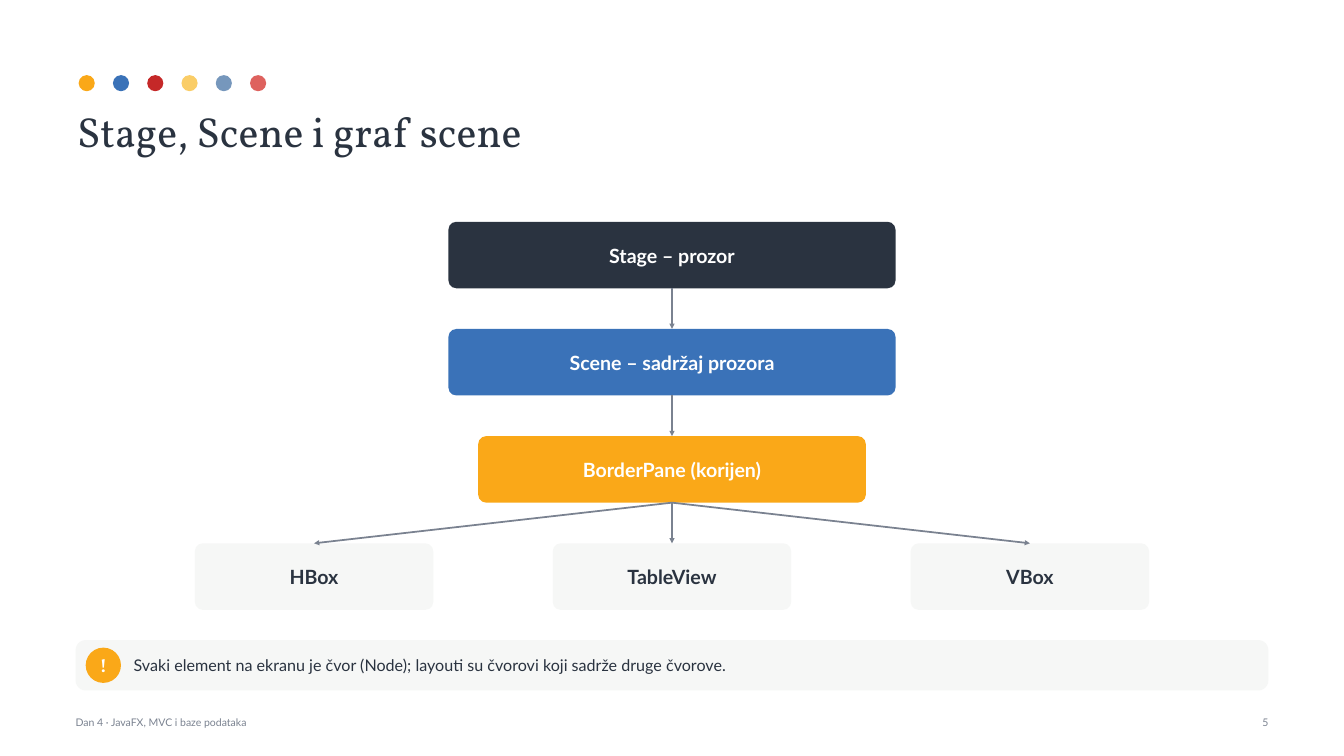
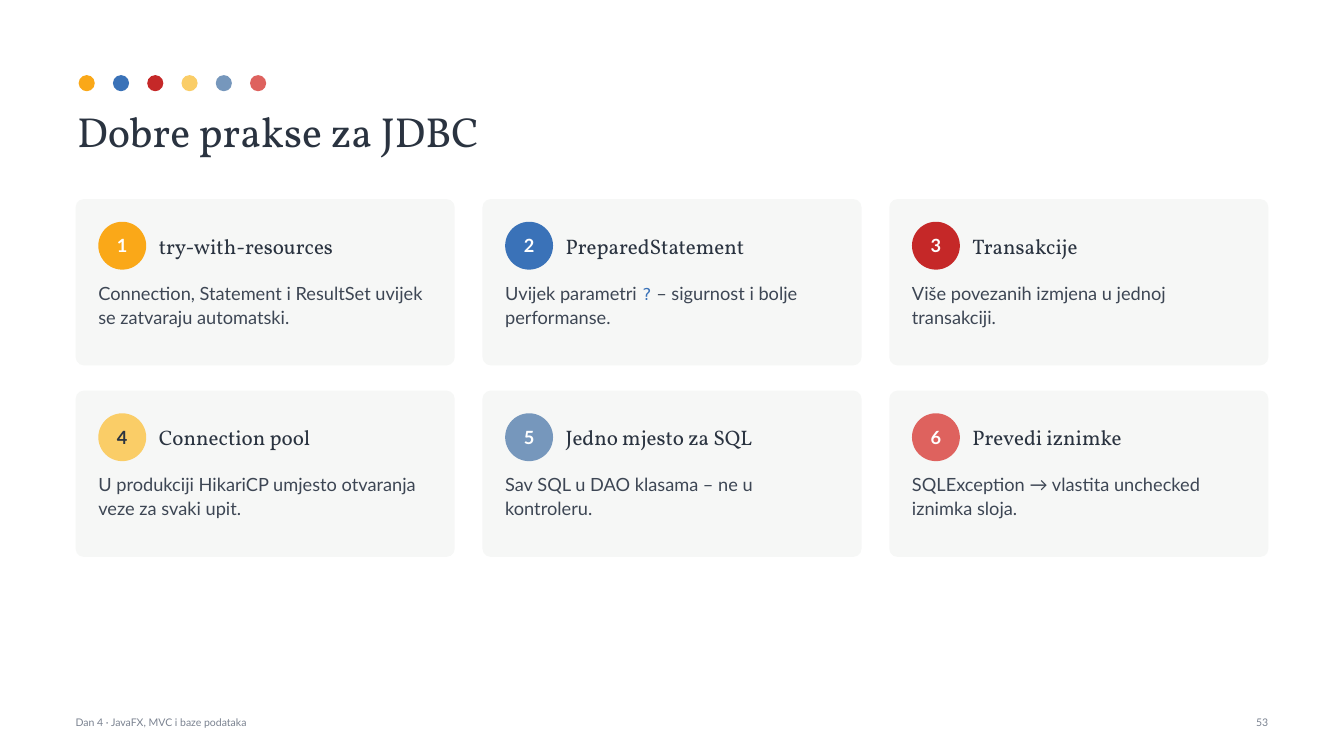
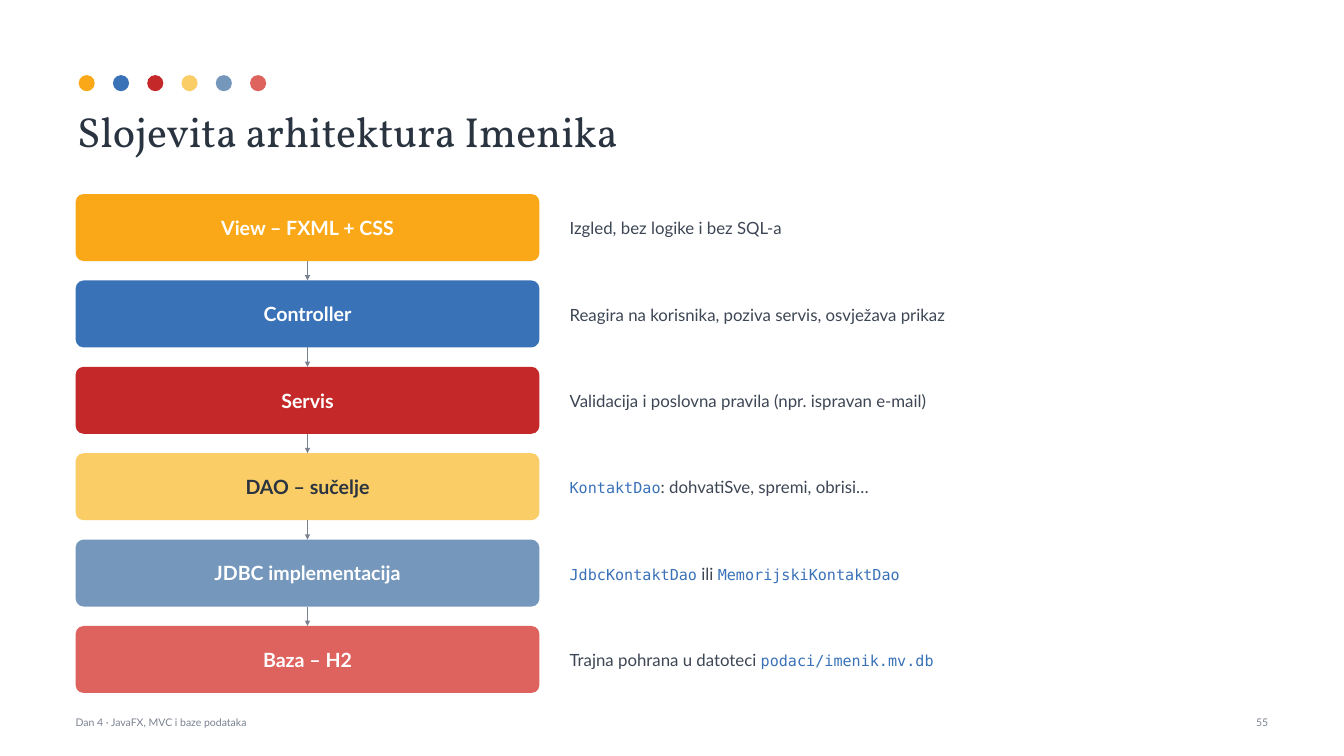
from lxml import etree
from pptx import Presentation
from pptx.dml.color import RGBColor
from pptx.enum.shapes import MSO_CONNECTOR, MSO_SHAPE
from pptx.enum.text import MSO_ANCHOR, MSO_AUTO_SIZE, PP_ALIGN
from pptx.oxml.ns import qn
from pptx.util import Inches, Pt

ROUNDED, OVAL = MSO_SHAPE.ROUNDED_RECTANGLE, MSO_SHAPE.OVAL
STRAIGHT = MSO_CONNECTOR.STRAIGHT
LEFT, CENTER, RIGHT = PP_ALIGN.LEFT, PP_ALIGN.CENTER, PP_ALIGN.RIGHT
TOP, MIDDLE = MSO_ANCHOR.TOP, MSO_ANCHOR.MIDDLE
NO_AUTOFIT = MSO_AUTO_SIZE.NONE
TITLE_ONLY = 5
BOTTOM_SIDE, TOP_SIDE = 2, 0

COLORS = {
    "orange": "FAA818", "blue": "3A72B8", "red": "C52828",
    "yellow": "FACD67", "steel": "7697BC", "coral": "DE625E",
    "ink": "2A3340", "body": "3D4654", "gray": "7A8290",
    "panel": "F6F7F6", "white": "FFFFFF",
}
ACCENTS = ["orange", "blue", "red", "yellow", "steel", "coral"]
LIGHT_FILLS = ("yellow", "panel")
SERIF, SANS, MONO = "Vollkorn", "Lato", "DejaVu Sans Mono"
FOOTER = "Dan 4 · JavaFX, MVC i baze podataka"
MARGIN, CONTENT_WIDTH = 1.5, 23.66
CENTER_X = 13.33

CARDS = [
    ("try-with-resources", "Connection, Statement i ResultSet uvijek se zatvaraju automatski."),
    ("PreparedStatement", "Uvijek parametri `?` – sigurnost i bolje performanse."),
    ("Transakcije", "Više povezanih izmjena u jednoj transakciji."),
    ("Connection pool", "U produkciji HikariCP umjesto otvaranja veze za svaki upit."),
    ("Jedno mjesto za SQL", "Sav SQL u DAO klasama – ne u kontroleru."),
    ("Prevedi iznimke", "SQLException → vlastita unchecked iznimka sloja."),
]
LAYERS = [
    ("View – FXML + CSS", "Izgled, bez logike i bez SQL-a"),
    ("Controller", "Reagira na korisnika, poziva servis, osvježava prikaz"),
    ("Servis", "Validacija i poslovna pravila (npr. ispravan e-mail)"),
    ("DAO – sučelje", "`KontaktDao`: dohvatiSve, spremi, obrisi…"),
    ("JDBC implementacija", "`JdbcKontaktDao` ili `MemorijskiKontaktDao`"),
    ("Baza – H2", "Trajna pohrana u datoteci `podaci/imenik.mv.db`"),
]


def rgb(name):
    """Return the named palette colour."""
    return RGBColor.from_string(COLORS[name])


def contrast(fill):
    """Return the label colour that reads well on a fill."""
    return "ink" if fill in LIGHT_FILLS else "white"


def style_font(font, size, color, face=SANS, bold=False):
    """Set size, colour, face and weight of a font."""
    font.size, font.name, font.bold = Pt(size), face, bold
    font.color.rgb = rgb(color)


def set_frame(frame, anchor, inset=0, wrap=True):
    """Set anchor, equal insets and wrapping of a text frame."""
    frame.auto_size, frame.word_wrap = NO_AUTOFIT, wrap
    frame.vertical_anchor = anchor
    frame.margin_left = frame.margin_right = Inches(inset)
    frame.margin_top = frame.margin_bottom = Inches(inset)


def add_text(page, at, text, size, color, face=SANS, align=LEFT, anchor=TOP, spacing=1.0):
    """Add a text box where backticks mark code spans."""
    box = page.shapes.add_textbox(*map(Inches, at))
    set_frame(box.text_frame, anchor)
    para = box.text_frame.paragraphs[0]
    para.alignment, para.line_spacing = align, spacing
    for index, part in enumerate(text.split("`")):
        if part:
            span = para.add_run()
            span.text = part
            if index % 2:
                style_font(span.font, size * 0.9, "blue", MONO)
            else:
                style_font(span.font, size, color, face)


def add_panel(shapes, kind, at, fill, radius=None):
    """Add a flat shape without an outline."""
    panel = shapes.add_shape(kind, *map(Inches, at))
    panel.shadow.inherit = False
    panel.fill.solid()
    panel.fill.fore_color.rgb = rgb(fill)
    panel.line.fill.background()
    if radius is not None:
        panel.adjustments[0] = radius
    return panel


def add_label(panel, text, size, color, face=SANS, wrap=True, spacing=1.0):
    """Write a bold centred label inside a shape."""
    set_frame(panel.text_frame, MIDDLE, wrap=wrap)
    panel.text_frame.text = text
    para = panel.text_frame.paragraphs[0]
    para.alignment, para.line_spacing = CENTER, spacing
    style_font(para.runs[0].font, size, color, face, bold=True)


def add_node(page, at, text, fill, spacing=1.0):
    """Add a labelled rounded block of a diagram."""
    node = add_panel(page.shapes, ROUNDED, at, fill, 0.12)
    add_label(node, text, 28, contrast(fill), spacing=spacing)
    return node


def add_badge(page, left, top, size, text, fill, face=SANS):
    """Add a round badge with a short mark."""
    badge = add_panel(page.shapes, OVAL, (left, top, size, size), fill)
    add_label(badge, text, 26, contrast(fill), face, wrap=False)


def add_arrow(page, upper, lower):
    """Join two nodes with a downward arrow."""
    arrow = page.shapes.add_connector(STRAIGHT, 0, 0, 0, 0)
    arrow.begin_connect(upper, BOTTOM_SIDE)
    arrow.end_connect(lower, TOP_SIDE)
    arrow.line.color.rgb = rgb("gray")
    arrow.line.width = Pt(2.5)
    etree.SubElement(arrow.line._get_or_add_ln(), qn("a:tailEnd"), type="triangle")
    etree.SubElement(arrow._element.spPr, qn("a:effectLst"))


def add_page(deck, title, number):
    """Add a page with accent dots, title and footer."""
    page = deck.slides.add_slide(deck.slide_layouts[TITLE_ONLY])
    dots = page.shapes.add_group_shape()
    for index, accent in enumerate(ACCENTS):
        add_panel(dots.shapes, OVAL, (1.56 + 0.68 * index, 1.49, 0.32, 0.32), accent)
    heading = page.shapes.title
    heading.left, heading.top = Inches(1.43), Inches(2)
    heading.width, heading.height = Inches(23.8), Inches(1.2)
    set_frame(heading.text_frame, TOP, inset=0.1)
    heading.text_frame.text = title
    para = heading.text_frame.paragraphs[0]
    para.alignment = LEFT
    style_font(para.runs[0].font, 60, "ink", SERIF)
    add_text(page, (MARGIN, 14.2, 16, 0.45), FOOTER, 15, "gray")
    add_text(page, (22.66, 14.2, 2.5, 0.45), str(number), 15, "gray", align=RIGHT)
    return page


def add_note(page, top, text):
    """Add a full-width note with an exclamation badge."""
    add_panel(page.shapes, ROUNDED, (MARGIN, top, CONTENT_WIDTH, 1), "panel", 0.2)
    add_badge(page, MARGIN + 0.2, top + 0.15, 0.7, "!", "orange", SERIF)
    add_text(page, (MARGIN + 1.15, top, 22.31, 1), text, 23, "ink", anchor=MIDDLE)


def add_card(page, left, top, number, heading, text):
    """Add a numbered practice card."""
    add_panel(page.shapes, ROUNDED, (left, top, 7.52, 3.3), "panel", 0.05)
    inner = left + 0.45
    add_badge(page, inner, top + 0.45, 0.95, str(number), ACCENTS[number - 1])
    add_text(page, (inner + 1.2, top + 0.45, 5.57, 0.95), heading, 30, "ink", SERIF, anchor=MIDDLE)
    add_text(page, (inner, top + 1.6, 6.62, 1.55), text, 26, "body", spacing=1.1)


def build_scene_graph(deck):
    """Build the page with the scene graph."""
    page = add_page(deck, "Stage, Scene i graf scene", 5)
    tops = [4.4 + 6.38 * level / 3 for level in range(4)]
    trunk = [
        ("Stage – prozor", 8.87, "ink"),
        ("Scene – sadržaj prozora", 8.87, "blue"),
        ("BorderPane (korijen)", 7.69, "orange"),
    ]
    parent = None
    for top, (text, width, fill) in zip(tops, trunk):
        node = add_node(page, (CENTER_X - width / 2, top, width, 1.32), text, fill, 1.05)
        if parent:
            add_arrow(page, parent, node)
        parent = node
    for index, text in enumerate(["HBox", "TableView", "VBox"]):
        left = CENTER_X + 7.1 * (index - 1) - 4.73 / 2
        leaf = add_node(page, (left, tops[-1], 4.73, 1.32), text, "panel", 1.05)
        add_arrow(page, parent, leaf)
    add_note(page, 12.7, "Svaki element na ekranu je čvor (Node); layouti su čvorovi koji sadrže druge čvorove.")


def build_practices(deck):
    """Build the page with the grid of practice cards."""
    page = add_page(deck, "Dobre prakse za JDBC", 53)
    for index, (heading, text) in enumerate(CARDS):
        row, column = divmod(index, 3)
        add_card(page, MARGIN + 8.07 * column, 3.95 + 3.8 * row, index + 1, heading, text)


def build_layers(deck):
    """Build the page with the stack of application layers."""
    page = add_page(deck, "Slojevita arhitektura Imenika", 55)
    previous = None
    for index, (name, text) in enumerate(LAYERS):
        top = 3.85 + 8.57 * index / 5
        layer = add_node(page, (MARGIN, top, 9.2, 1.33), name, ACCENTS[index])
        add_text(page, (11.3, top, 13.86, 1.33), text, 24, "body", anchor=MIDDLE, spacing=1.05)
        if previous:
            add_arrow(page, previous, layer)
        previous = layer


def main():
    """Build and save the deck."""
    deck = Presentation()
    deck.slide_width, deck.slide_height = Inches(26.66), Inches(15)
    build_scene_graph(deck)
    build_practices(deck)
    build_layers(deck)
    deck.save("out.pptx")


if __name__ == "__main__":
    main()
